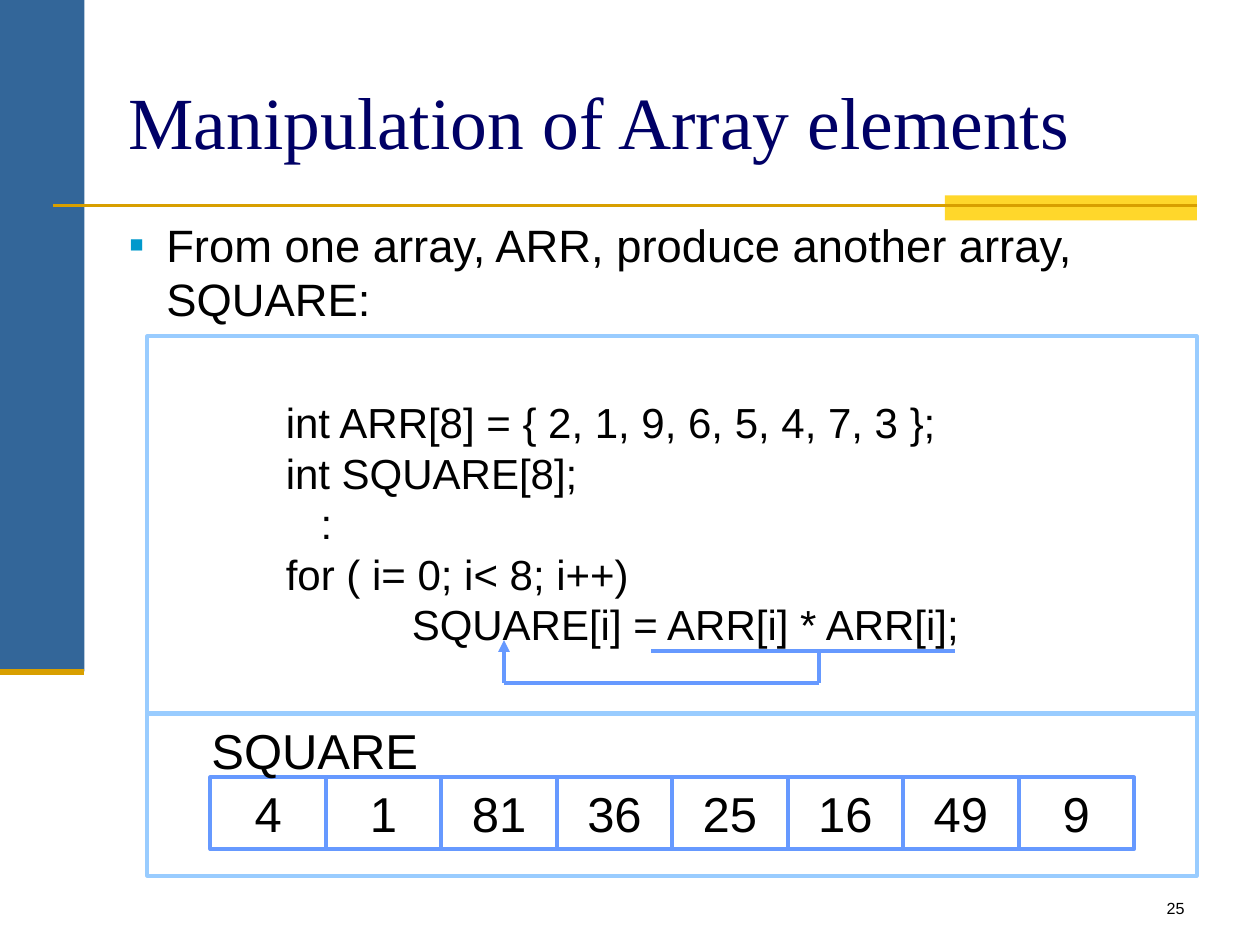
from lxml import etree
from pptx import Presentation
from pptx.dml.color import RGBColor
from pptx.enum import shapes, text
from pptx.oxml.ns import qn
from pptx.util import Inches, Pt

STEEL = RGBColor(0x33, 0x66, 0x99)
YELLOW = RGBColor(0xFF, 0xD7, 0x2B)
GOLD = RGBColor(0xD8, 0x9F, 0x00)
NAVY = RGBColor(0x00, 0x00, 0x66)
BLACK = RGBColor(0x00, 0x00, 0x00)
PALE_BLUE = RGBColor(0x99, 0xCC, 0xFF)
BLUE = RGBColor(0x66, 0x99, 0xFF)
BULLET_COLOR = RGBColor(0x00, 0x99, 0xCC)

TITLE = "Manipulation of Array elements"
TASK = "From one array, ARR, produce another array, SQUARE:"
CODE = [
    (1, "int ARR[8] = { 2, 1, 9, 6, 5, 4, 7, 3 };"),
    (1, "int SQUARE[8];"),
    (1, "   :"),
    (1, "for ( i= 0; i< 8; i++)"),
    (2, "SQUARE[i] = ARR[i] * ARR[i];"),
]
ARRAY_NAME = "SQUARE"
SQUARES = [4, 1, 81, 36, 25, 16, 49, 9]
PAGE = "25"

BANDS = [((0, 0, 0.67, 5.33), STEEL), ((7.5, 1.55, 2, 0.2), YELLOW)]
RULES = [((0.42, 1.63), (9.5, 1.63), 1.5), ((0, 5.33), (0.67, 5.33), 3.5)]
FLOW = [
    ((5.17, 5.17), (7.58, 5.17)),
    ((6.5, 5.17), (6.5, 5.42)),
    ((6.5, 5.42), (4, 5.42)),
    ((4, 5.42), (4, 5.08)),
]
CODE_BOX = (1.17, 2.67, 8.33, 2.99)
RESULT_BOX = (1.17, 5.67, 8.33, 1.28)
CELLS_LEFT, CELLS_TOP, CELLS_WIDTH, CELL_HEIGHT = 1.67, 6.17, 7.33, 0.57

prs = Presentation()
prs.slide_width, prs.slide_height = Inches(10), Inches(7.5)
slide = prs.slides.add_slide(prs.slide_layouts[1])


def place(part, box):
    part.left, part.top, part.width, part.height = map(Inches, box)


def add_box(box, fill=None, outline=None):
    rect = slide.shapes.add_shape(shapes.MSO_SHAPE.RECTANGLE, *map(Inches, box))
    rect.shadow.inherit = False
    if fill is None:
        rect.fill.background()
    else:
        rect.fill.solid()
        rect.fill.fore_color.rgb = fill
    if outline is None:
        rect.line.fill.background()
    else:
        rect.line.color.rgb = outline
        rect.line.width = Pt(2.25)
    rect.text_frame.vertical_anchor = text.MSO_ANCHOR.TOP
    return rect


def add_line(start, end, color, width):
    line = slide.shapes.add_connector(
        shapes.MSO_CONNECTOR.STRAIGHT, *map(Inches, start + end))
    line.line.color.rgb = color
    line.line.width = Pt(width)
    etree.SubElement(line._element.spPr, qn("a:effectLst"))
    return line


def write(paragraph, words, size, align=text.PP_ALIGN.LEFT, color=BLACK, font="Arial"):
    paragraph.text = words
    paragraph.alignment = align
    paragraph.font.size = Pt(size)
    paragraph.font.name = font
    paragraph.font.color.rgb = color


def add_label(box, words, size, align=text.PP_ALIGN.LEFT):
    frame = slide.shapes.add_textbox(*map(Inches, box)).text_frame
    frame.word_wrap = True
    write(frame.paragraphs[0], words, size, align)


def add_bullet(paragraph, mark, indent):
    props = paragraph._p.get_or_add_pPr()
    props.set("marL", str(Inches(indent)))
    props.set("indent", str(-Inches(indent)))
    color = etree.SubElement(props, qn("a:buClr"))
    etree.SubElement(color, qn("a:srgbClr"), val=str(BULLET_COLOR))
    etree.SubElement(props, qn("a:buFont"), typeface="Arial")
    etree.SubElement(props, qn("a:buChar"), char=mark)


for box, fill in BANDS:
    add_box(box, fill=fill)
for start, end, width in RULES:
    add_line(start, end, GOLD, width)

title, body = slide.shapes.title, slide.placeholders[1]
place(title, (0.92, 0.33, 8.33, 1.25))
title.text_frame.auto_size = text.MSO_AUTO_SIZE.NONE
title.text_frame.vertical_anchor = text.MSO_ANCHOR.MIDDLE
write(title.text_frame.paragraphs[0], TITLE, 42, color=NAVY, font="Times New Roman")

place(body, (0.92, 1.67, 8.33, 1.04))
body.text_frame.auto_size = text.MSO_AUTO_SIZE.NONE
task = body.text_frame.paragraphs[0]
add_bullet(task, "▪", 0.3)
write(task, TASK, 25.9)
task.space_before = Pt(0)

code = add_box(CODE_BOX, outline=PALE_BLUE).text_frame
code.margin_top = Inches(0.48)
for number, (level, statement) in enumerate(CODE):
    line = code.add_paragraph() if number else code.paragraphs[0]
    line._p.get_or_add_pPr().set("marL", str(Inches(level)))
    write(line, statement, 24)

for start, end in FLOW:
    flow = add_line(start, end, BLUE, 2.25)
etree.SubElement(flow._element.spPr.find(qn("a:ln")), qn("a:tailEnd"), type="triangle")

cell_width = CELLS_WIDTH / len(SQUARES)
for index, value in enumerate(SQUARES):
    left = CELLS_LEFT + index * cell_width
    cell = add_box((left, CELLS_TOP, cell_width, CELL_HEIGHT), outline=BLUE)
    write(cell.text_frame.paragraphs[0], str(value), 28, text.PP_ALIGN.CENTER)

add_box(RESULT_BOX, outline=PALE_BLUE)
add_label((1.58, 5.67, 2.08, 0.57), ARRAY_NAME, 28)
add_label((7.42, 7.08, 2.08, 0.25), PAGE, 9.2, text.PP_ALIGN.RIGHT)

prs.save("out.pptx")
